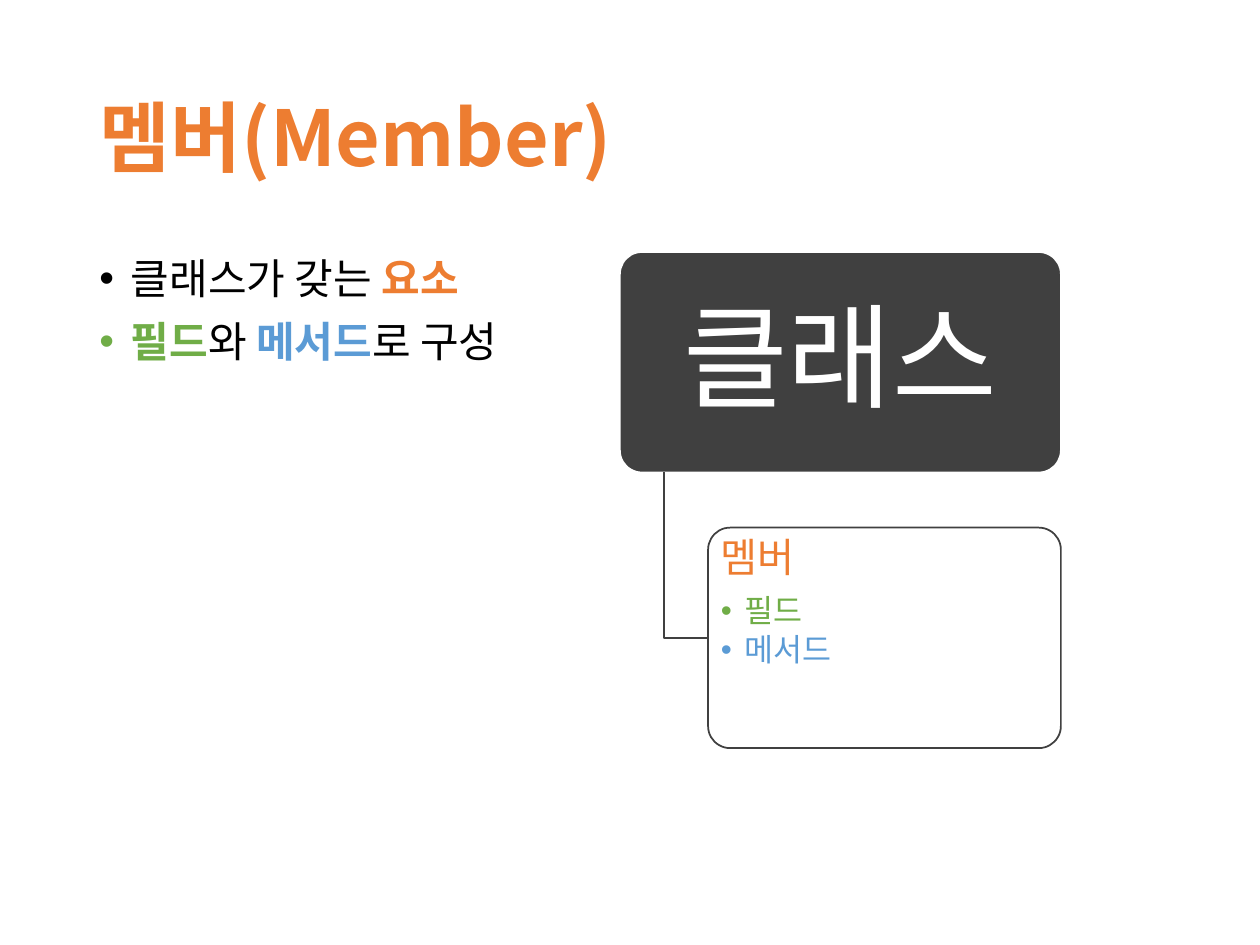
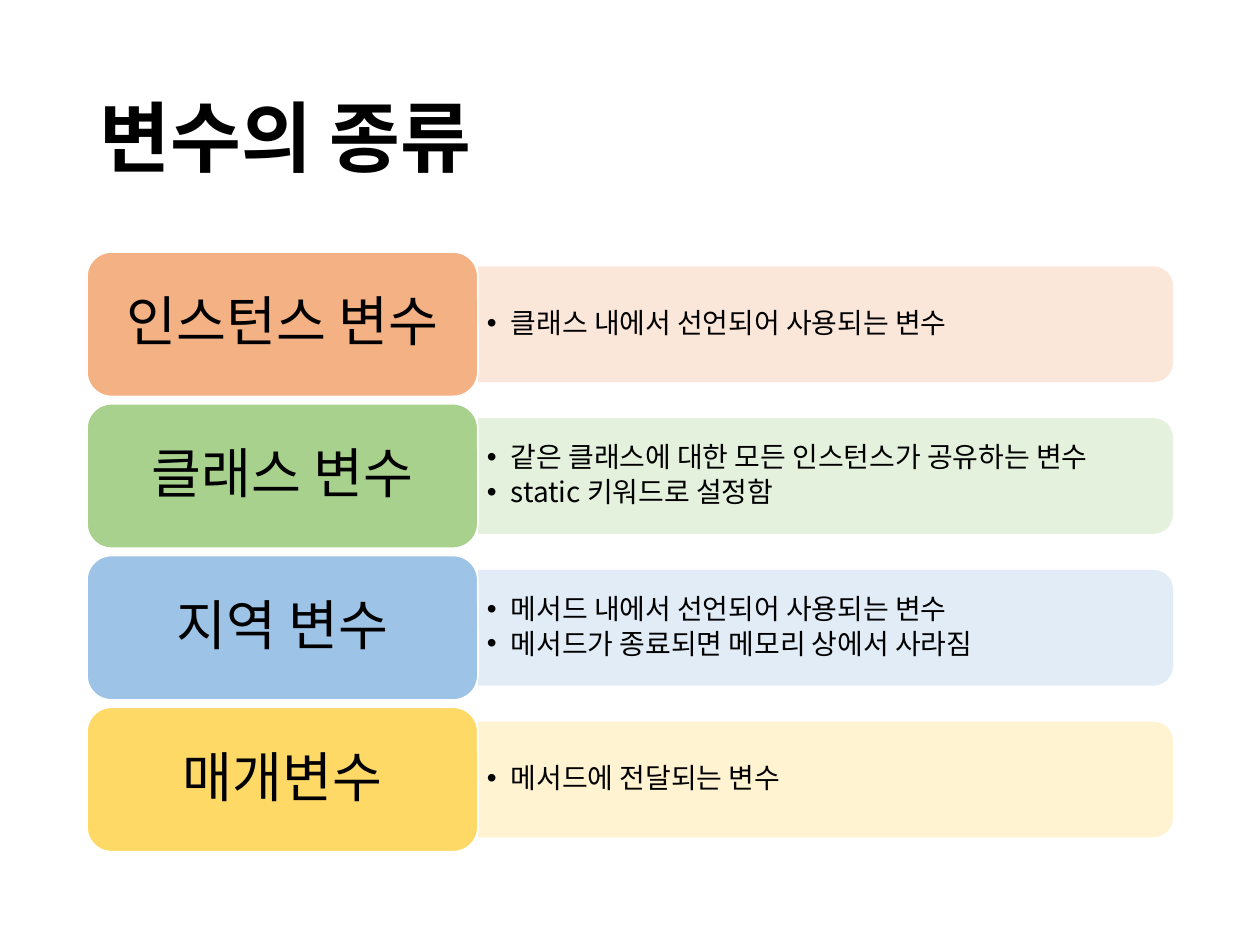
import pptx
import pptx.util
import pptx.dml.color
import pptx.enum.shapes
import pptx.enum.text
import pptx.oxml.ns
from lxml import etree

RGB = pptx.dml.color.RGBColor
SHAPE = pptx.enum.shapes.MSO_SHAPE
ALIGN = pptx.enum.text.PP_ALIGN
ANCHOR = pptx.enum.text.MSO_ANCHOR

FONT = "Noto Sans CJK KR"
BLACK = RGB(0x00, 0x00, 0x00)
WHITE = RGB(0xFF, 0xFF, 0xFF)
CHARCOAL = RGB(0x40, 0x40, 0x40)
ORANGE = RGB(0xED, 0x7D, 0x31)
GREEN = RGB(0x70, 0xAD, 0x47)
BLUE = RGB(0x5B, 0x9B, 0xD5)
SOFT_ORANGE, PALE_ORANGE = RGB(0xF4, 0xB1, 0x83), RGB(0xFB, 0xE5, 0xD6)
SOFT_GREEN, PALE_GREEN = RGB(0xA9, 0xD1, 0x8E), RGB(0xE2, 0xF0, 0xD9)
SOFT_BLUE, PALE_BLUE = RGB(0x9D, 0xC3, 0xE6), RGB(0xDE, 0xEB, 0xF7)
SOFT_YELLOW, PALE_YELLOW = RGB(0xFF, 0xD9, 0x66), RGB(0xFF, 0xF2, 0xCC)

# The slide is a grid of 100 columns by 75 rows of equal size.
COLUMNS, ROWS = 100, 75
LEFT, WIDTH = 6.9, 86.2
TITLE_TOP, TITLE_HEIGHT = 4, 14.5
BODY_TOP, BODY_HEIGHT = 20, 47.6


def add_xml(parent, tag, **attributes):
    """Append a DrawingML child element to parent."""
    child = etree.SubElement(parent, pptx.oxml.ns.qn(tag))
    for key, value in attributes.items():
        child.set(key, str(value))
    return child


def write(frame, text, size, color=BLACK, bold=False, align=ALIGN.LEFT,
          before=0, after=0, indent=0, level=0):
    """Add one paragraph; text is a string or a list of (text, color, bold).

    An indent in inches gives the paragraph a hanging bullet.
    """
    paragraph = frame.add_paragraph() if frame.text else frame.paragraphs[0]
    paragraph.alignment = align
    paragraph.level = level
    paragraph.line_spacing = 0.9
    paragraph.space_before = pptx.util.Pt(before)
    paragraph.space_after = pptx.util.Pt(after)
    if indent:
        hang = pptx.util.Inches(indent)
        properties = paragraph._p.get_or_add_pPr()
        properties.set("marL", str(hang))
        properties.set("indent", str(-hang))
        add_xml(properties, "a:buFont", typeface="Arial")
        add_xml(properties, "a:buChar", char="•")
    runs = [(text, color, bold)] if isinstance(text, str) else text
    for words, run_color, run_bold in runs:
        run = paragraph.add_run()
        run.text = words
        run.font.size = pptx.util.Pt(size)
        run.font.bold = run_bold
        run.font.color.rgb = run_color
        run.font.name = FONT
        add_xml(run._r.get_or_add_rPr(), "a:ea", typeface=FONT)


class Deck:
    """Holds the presentation, its grid and the slide being filled."""

    def __init__(self):
        """Start an empty 4:3 presentation."""
        self.file = pptx.Presentation()
        self.file.slide_width = pptx.util.Inches(10)
        self.file.slide_height = pptx.util.Inches(7.5)
        self.shapes = None

    def x(self, columns):
        """Turn grid columns into a length."""
        return round(self.file.slide_width * columns / COLUMNS)

    def y(self, rows):
        """Turn grid rows into a length."""
        return round(self.file.slide_height * rows / ROWS)

    def box(self, left, top, width, height):
        """Turn a grid rectangle into lengths."""
        return self.x(left), self.y(top), self.x(width), self.y(height)

    def new_slide(self, title, color=BLACK):
        """Add a blank slide with the shared title style."""
        slide = self.file.slides.add_slide(self.file.slide_layouts[6])
        self.shapes = slide.shapes
        frame = self.text_area(LEFT, TITLE_TOP, WIDTH, TITLE_HEIGHT,
                               anchor=ANCHOR.MIDDLE)
        write(frame, title, size=44, color=color, bold=True)

    def set_frame(self, shape, anchor, margins):
        """Wrap a shape's text and set its anchor and margins in inches."""
        frame = shape.text_frame
        frame.word_wrap = True
        frame.vertical_anchor = anchor
        side, end = (pptx.util.Inches(margin) for margin in margins)
        frame.margin_left = frame.margin_right = side
        frame.margin_top = frame.margin_bottom = end
        return frame

    def text_area(self, left, top, width, height, anchor=ANCHOR.TOP,
                  margins=(0.1, 0.05)):
        """Add a text box and return its text frame."""
        area = self.shapes.add_textbox(*self.box(left, top, width, height))
        return self.set_frame(area, anchor, margins)

    def paint(self, shape, fill, line=None, opacity=100):
        """Give a shape its fill and line, without a shadow."""
        shape.shadow.inherit = False
        shape.fill.solid()
        shape.fill.fore_color.rgb = fill
        if opacity < 100:
            tint = shape.fill._xPr.find(".//" + pptx.oxml.ns.qn("a:srgbClr"))
            add_xml(tint, "a:alpha", val=opacity * 1000)
        if line is None:
            shape.line.fill.background()
        else:
            shape.line.color.rgb = line
            shape.line.width = pptx.util.Pt(1)

    def card(self, left, top, width, height, fill, line=WHITE, opacity=100,
             rounding=0.17, anchor=ANCHOR.MIDDLE, margins=(0.13, 0.06)):
        """Add a rounded card and return its text frame."""
        card = self.shapes.add_shape(SHAPE.ROUNDED_RECTANGLE,
                                     *self.box(left, top, width, height))
        card.adjustments[0] = rounding
        self.paint(card, fill, line, opacity)
        return self.set_frame(card, anchor, margins)

    def band(self, left, top, width, height, fill):
        """Add a band rounded on its right side, as a turned shape."""
        turned_left = left + (width - height) / 2
        turned_top = top + (height - width) / 2
        band = self.shapes.add_shape(
            SHAPE.ROUND_2_SAME_RECTANGLE,
            *self.box(turned_left, turned_top, height, width))
        band.rotation = 90
        self.paint(band, fill, opacity=90)

    def branch(self, points):
        """Draw an open line through grid points."""
        (start_x, start_y), *others = [(self.x(a), self.y(b))
                                       for a, b in points]
        builder = self.shapes.build_freeform(start_x, start_y)
        builder.add_line_segments(others, close=False)
        line = builder.convert_to_shape()
        self.paint(line, WHITE, CHARCOAL)
        line.fill.background()


def build_member_slide(deck):
    """Show a class and the members it holds."""
    deck.new_slide("멤버(Member)", ORANGE)
    body = deck.text_area(LEFT, BODY_TOP, WIDTH, BODY_HEIGHT)
    for line in (
        [("클래스가 갖는 ", BLACK, False), ("요소", ORANGE, True)],
        [("필드", GREEN, True), ("와 ", BLACK, False),
         ("메서드", BLUE, True), ("로 구성", BLACK, False)],
    ):
        write(body, line, size=24, before=10, indent=0.25)

    left, width, height = 49.2, 35, 17.5
    member_left = left + width * 0.2
    member_top = BODY_TOP + height * 1.25
    parent = deck.card(left, BODY_TOP, width, height, CHARCOAL,
                       rounding=0.1, margins=(0.14, 0.09))
    write(parent, "클래스", size=65, color=WHITE, align=ALIGN.CENTER)

    stem = left + width * 0.1
    middle = member_top + height / 2
    deck.branch([(stem, BODY_TOP + height), (stem, middle),
                 (member_left, middle)])
    member = deck.card(member_left, member_top, width * 0.8, height, WHITE,
                       line=CHARCOAL, opacity=90, rounding=0.1,
                       anchor=ANCHOR.TOP, margins=(0.05, 0.03))
    write(member, "멤버", size=23, color=ORANGE, after=8)
    for name, color in (("필드", GREEN), ("메서드", BLUE)):
        write(member, name, size=18, color=color, after=2.7, indent=0.19,
              level=1)


def build_variable_slide(deck):
    """List the kinds of variables, one row for each."""
    deck.new_slide("변수의 종류")
    kinds = (
        ("인스턴스 변수", SOFT_ORANGE, PALE_ORANGE,
         ["클래스 내에서 선언되어 사용되는 변수"]),
        ("클래스 변수", SOFT_GREEN, PALE_GREEN,
         ["같은 클래스에 대한 모든 인스턴스가 공유하는 변수",
          "static 키워드로 설정함"]),
        ("지역 변수", SOFT_BLUE, PALE_BLUE,
         ["메서드 내에서 선언되어 사용되는 변수",
          "메서드가 종료되면 메모리 상에서 사라짐"]),
        ("매개변수", SOFT_YELLOW, PALE_YELLOW,
         ["메서드에 전달되는 변수"]),
    )
    gap = 0.05
    height = BODY_HEIGHT / (len(kinds) + gap * (len(kinds) - 1))
    label_width = WIDTH * 0.36
    band_left, band_width = LEFT + label_width, WIDTH - label_width
    for row, (name, strong, pale, facts) in enumerate(kinds):
        top = BODY_TOP + row * height * (1 + gap)
        deck.band(band_left, top + height * 0.1, band_width, height * 0.8,
                  pale)
        detail = deck.text_area(band_left, top + height * 0.14,
                                band_width - 0.4, height * 0.72,
                                anchor=ANCHOR.MIDDLE, margins=(0.07, 0.03))
        for fact in facts:
            write(detail, fact, size=16, after=2.4, indent=0.19, level=1)
        label = deck.card(LEFT, top, label_width, height, strong)
        write(label, name, size=31, align=ALIGN.CENTER)


deck = Deck()
build_member_slide(deck)
build_variable_slide(deck)
deck.file.save("out.pptx")
